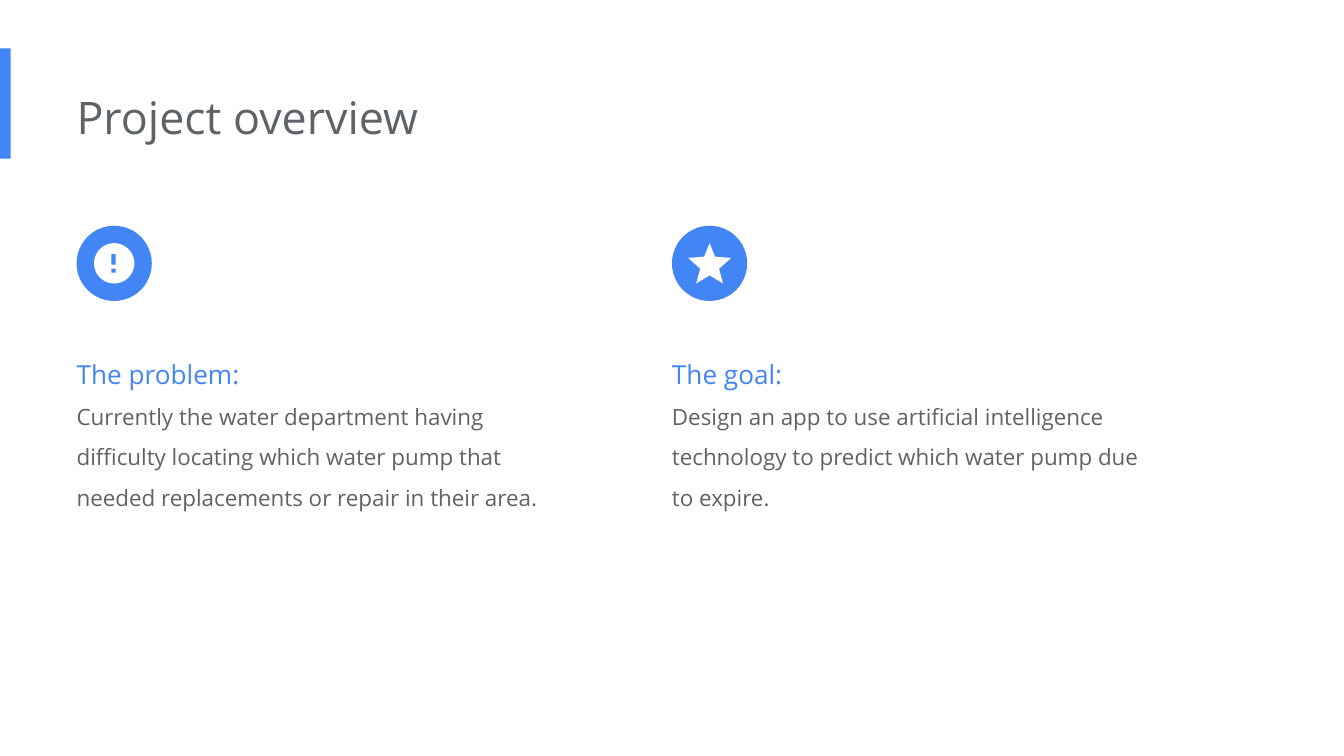
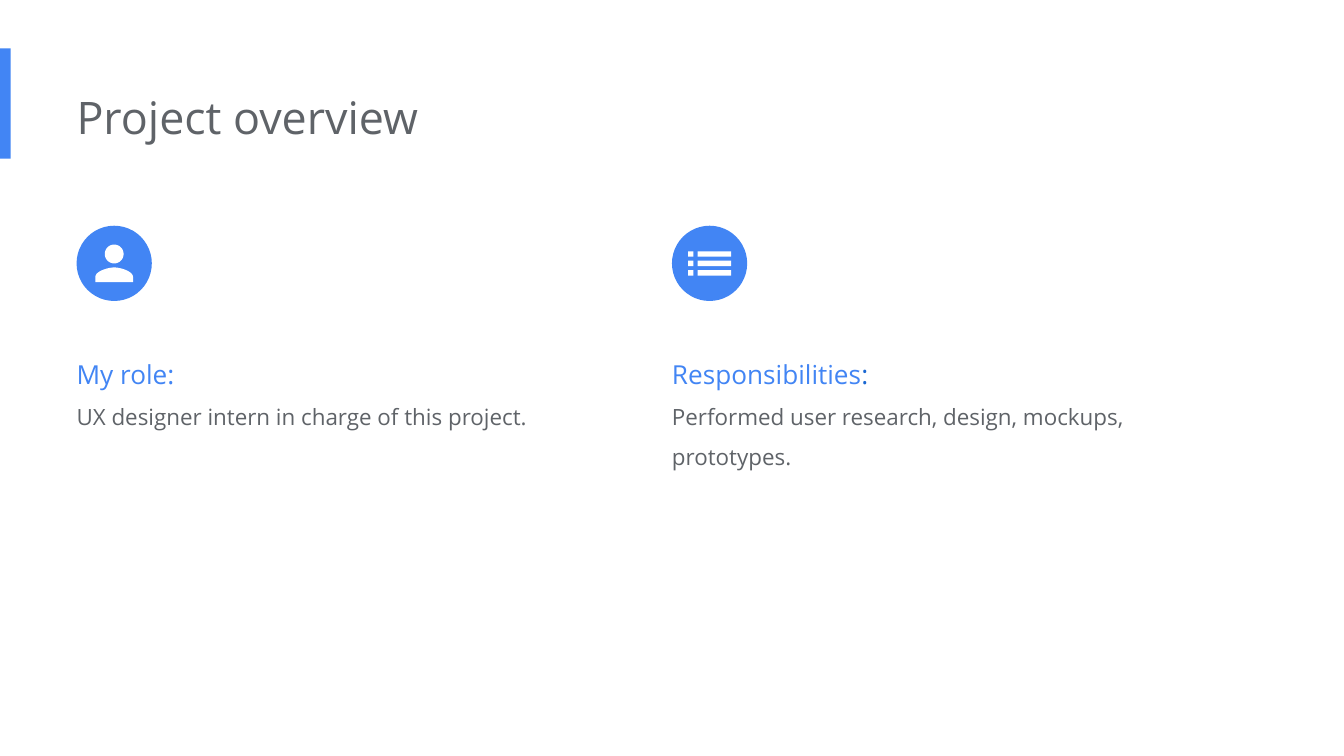
import math
from dataclasses import dataclass
from typing import Callable

from pptx import Presentation
from pptx import util as u
from pptx.dml import color
from pptx.enum import shapes, text

FONT = "Open Sans"
BLUE, NAVY, GREY, WHITE = "4285F4", "1967D2", "5F6368", "FFFFFF"
LEFT, RIGHT = 0.57, 5.0
DISC_TOP, DISC = 1.68, 0.56
BODY_TOP, BODY_WIDTH = 2.45, 3.77
BASE, LINE = 0.86, 0.3

Point = tuple[float, float]
Ring = list[Point]


@dataclass(frozen=True)
class Run:
    words: str
    size: int
    tint: str


@dataclass(frozen=True)
class Topic:
    left: float
    icon: Callable[[], list[Ring]]
    head: list[Run]
    body: str
    lines: int


def rgb(tint: str) -> color.RGBColor:
    return color.RGBColor.from_string(tint)


def box(x: float, y: float, w: float, h: float) -> Ring:
    return [(x, y), (x + w, y), (x + w, y + h), (x, y + h)]


def circle(y: float, size: float) -> Ring:
    turns = [math.tau * i / 64 for i in range(64)]
    return [(size * math.cos(t), y + size * math.sin(t)) for t in turns]


def curve(a: Point, b: Point, c: Point, d: Point) -> Ring:
    ring = []
    for i in range(17):
        t = i / 16
        parts = (1 - t) ** 3, 3 * t * (1 - t) ** 2, 3 * t * t * (1 - t), t ** 3
        ring.append(tuple(sum(k * p[n] for k, p in zip(parts, (a, b, c, d)))
                          for n in (0, 1)))
    return ring


def mirror(half: Ring) -> Ring:
    return half + [(-x, y) for x, y in reversed(half) if x]


def alert() -> list[Ring]:
    return [circle(0, 0.15), box(-0.02, -0.07, 0.03, 0.08),
            box(-0.02, 0.04, 0.03, 0.03)]


def star() -> list[Ring]:
    return [mirror([(0, -0.15), (0.04, -0.05), (0.16, -0.04),
                    (0.07, 0.04), (0.1, 0.15), (0, 0.09)])]


def person() -> list[Ring]:
    side = curve((0, 0.03), (0.05, 0.03), (0.14, 0.06), (0.14, 0.1))
    return [circle(-0.07, 0.07), mirror(side + [(0.14, 0.14)])]


def menu() -> list[Ring]:
    rows = [-0.09 + 0.07 * i for i in range(3)]
    return [box(x, y, w, 0.04) for y in rows
            for x, w in ((-0.16, 0.04), (-0.09, 0.25))]


def paint(shape, tint: str) -> None:
    shape.shadow.inherit = False
    shape.fill.solid()
    shape.fill.fore_color.rgb = rgb(tint)
    shape.line.fill.background()


def add_block(slide, kind, x: float, y: float, w: float, h: float) -> None:
    paint(slide.shapes.add_shape(kind, *map(u.Inches, (x, y, w, h))), BLUE)


def add_icon(slide, x: float, y: float, rings: list[Ring]) -> None:
    rings = [[(u.Inches(x + a), u.Inches(y + b)) for a, b in ring]
             for ring in rings]
    path = slide.shapes.build_freeform(*rings[0][0])
    for i, ring in enumerate(rings):
        if i:
            path.move_to(*ring[0])
        path.add_line_segments(ring[1:], close=True)
    paint(path.convert_to_shape(), WHITE)


def add_text(slide, x: float, y: float, w: float, h: float,
             paras: list[list[Run]], space: float = 1.0) -> None:
    frame = slide.shapes.add_textbox(*map(u.Inches, (x, y, w, h))).text_frame
    frame.word_wrap = True
    frame.auto_size = text.MSO_AUTO_SIZE.SHAPE_TO_FIT_TEXT
    frame.margin_left = 0
    frame.margin_top = frame.margin_right = frame.margin_bottom = u.Inches(0.1)
    for i, runs in enumerate(paras):
        para = frame.add_paragraph() if i else frame.paragraphs[0]
        para.line_spacing = space
        for item in runs:
            run = para.add_run()
            run.text = item.words
            run.font.name = FONT
            run.font.size = u.Pt(item.size)
            run.font.color.rgb = rgb(item.tint)


def add_topic(slide, topic: Topic) -> None:
    height = BASE + LINE * (topic.lines - 1)
    add_text(slide, topic.left, BODY_TOP, BODY_WIDTH, height,
             [topic.head, [Run(topic.body, 12, GREY)]], 1.5)
    add_block(slide, shapes.MSO_SHAPE.OVAL, topic.left, DISC_TOP, DISC, DISC)
    add_icon(slide, topic.left + DISC / 2, DISC_TOP + DISC / 2, topic.icon())


def add_page(deck, topics: list[Topic]) -> None:
    slide = deck.slides.add_slide(deck.slide_layouts[6])
    slide.background.fill.solid()
    slide.background.fill.fore_color.rgb = rgb(WHITE)
    add_block(slide, shapes.MSO_SHAPE.RECTANGLE, 0, 0.36, 0.08, 0.82)
    add_text(slide, LEFT, 0.57, 6.73, 0.61,
             [[Run("Project overview", 24, GREY)]])
    for topic in topics:
        add_topic(slide, topic)


PAGES = [
    [Topic(LEFT, alert, [Run("The problem:", 14, BLUE)],
           "Currently the water department having difficulty locating which "
           "water pump that needed replacements or repair in their area.", 3),
     Topic(RIGHT, star, [Run("The goal:", 14, BLUE)],
           "Design an app to use artificial intelligence technology to "
           "predict which water pump due to expire.", 3)],
    [Topic(LEFT, person, [Run("My role:", 14, BLUE)],
           "UX designer intern in charge of this project.", 1),
     Topic(RIGHT, menu,
           [Run("Responsibilities", 14, BLUE), Run(":", 14, NAVY)],
           "Performed user research, design, mockups, prototypes.", 2)],
]


def main() -> None:
    deck = Presentation()
    deck.slide_width = u.Inches(10)
    deck.slide_height = u.Inches(10 * 9 / 16)
    for topics in PAGES:
        add_page(deck, topics)
    deck.save("out.pptx")


if __name__ == "__main__":
    main()
